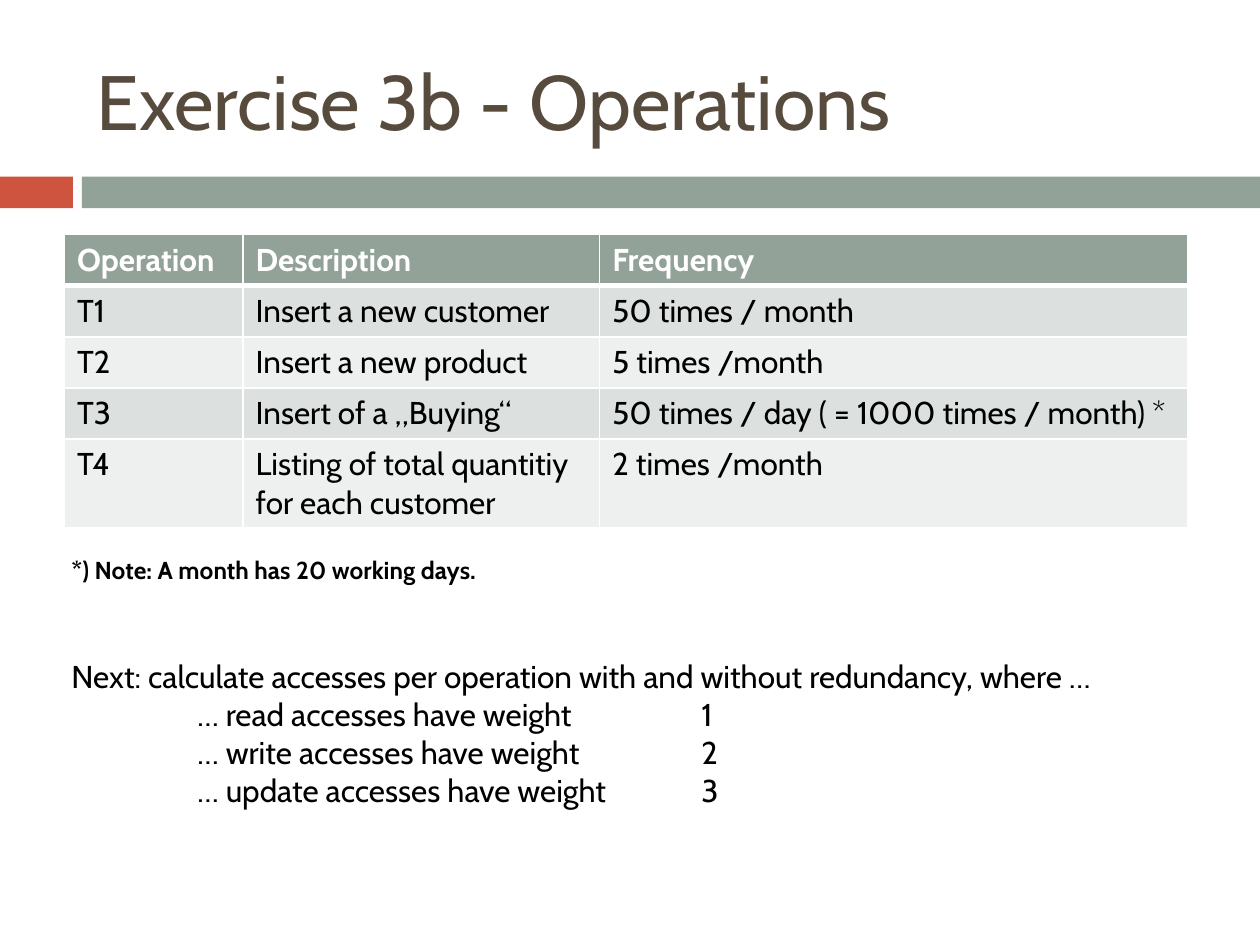
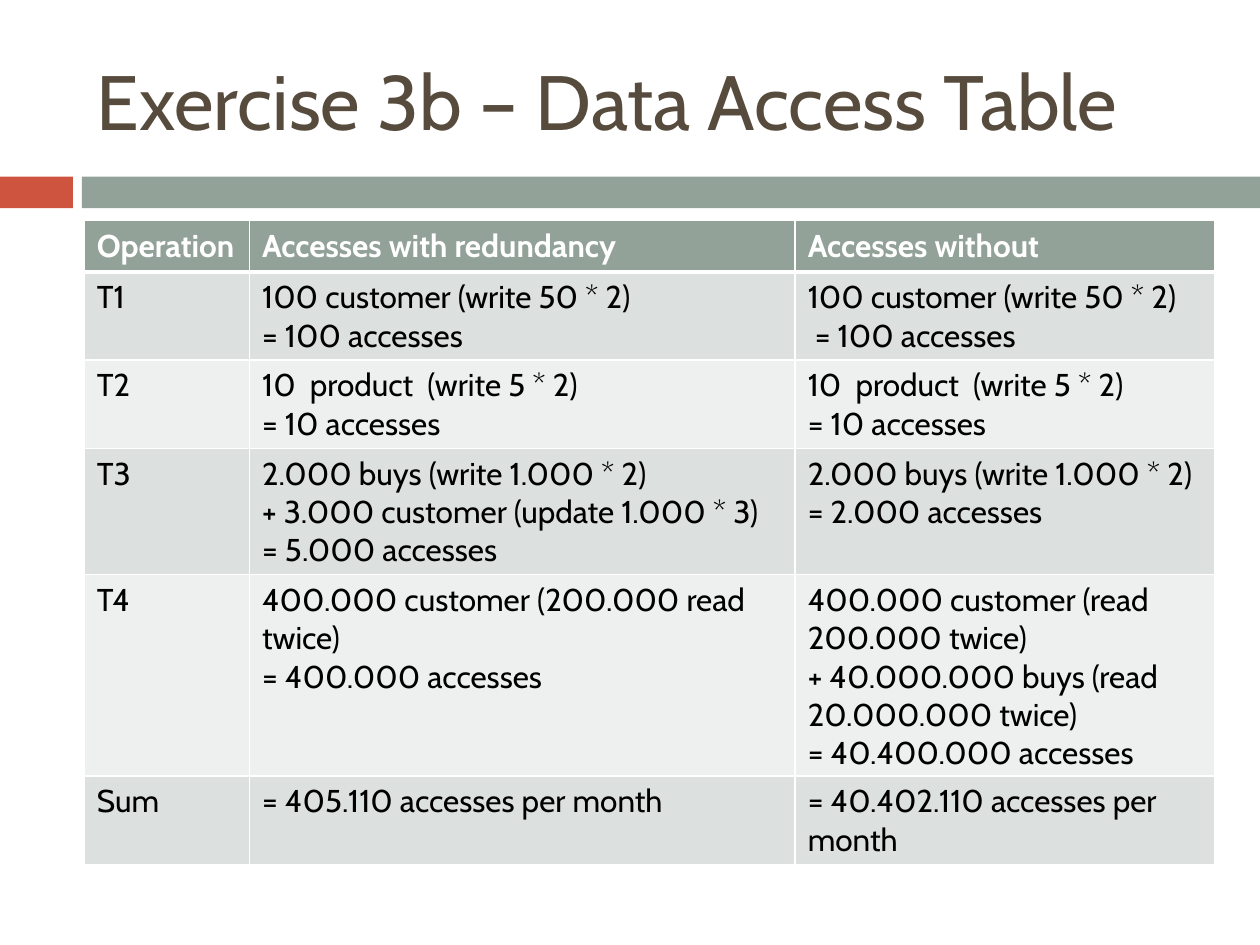
from dataclasses import dataclass

import pptx
import pptx.dml.color
import pptx.enum.shapes
import pptx.enum.text
import pptx.oxml.ns
import pptx.util
from lxml import etree

Cm = pptx.util.Cm
RGB = pptx.dml.color.RGBColor.from_string


@dataclass(frozen=True)
class Theme:
    face: str = "Cabin"
    brown: str = "564B3C"
    red: str = "CF543F"
    sage: str = "93A299"
    bands: tuple[str, str] = ("DCE0DE", "EEF0EF")
    white: str = "FFFFFF"
    black: str = "000000"
    title: int = 44
    body: int = 18
    note: int = 14
    thin: float = 1
    thick: float = 3


@dataclass(frozen=True)
class Box:
    """A place on the slide, in centimetres."""
    left: float
    top: float
    width: float
    height: float

    def args(self) -> tuple:
        return tuple(Cm(n) for n in (self.left, self.top, self.width, self.height))


@dataclass(frozen=True)
class Bar:
    box: Box
    color: str


@dataclass(frozen=True)
class Note:
    box: Box
    text: str
    size: int
    color: str
    bold: bool = False
    middle: bool = False
    tabs: tuple[float, ...] = ()


@dataclass(frozen=True)
class Grid:
    left: float
    top: float
    cols: tuple[float, ...]
    rows: tuple[tuple[str, ...], ...]


@dataclass(frozen=True)
class Page:
    title: str
    grid: Grid
    notes: tuple[Note, ...] = ()


THEME = Theme()
ROW = 1.03
HEAD = Box(1.7, 0.64, 22.66, 2.74)
BARS = (
    Bar(Box(0, 3.56, 1.47, 0.64), THEME.red),
    Bar(Box(1.65, 3.56, 23.75, 0.64), THEME.sage),
)

PAGES = (
    Page(
        "Exercise 3b - Operations",
        Grid(1.3, 4.73, (3.6, 7.19, 11.86), (
            ("Operation", "Description", "Frequency"),
            ("T1", "Insert a new customer", "50 times / month"),
            ("T2", "Insert a new product", "5 times /month"),
            ("T3", "Insert of a „Buying“",
             "50 times / day ( = 1000 times / month) *"),
            ("T4", "Listing of total quantitiy for each customer",
             "2 times /month"),
        )),
        (
            Note(
                Box(1.19, 13.13, 22.61, 3.33),
                "Next: calculate accesses per operation with and without "
                "redundancy, where …\n"
                "\t… read accesses have weight \t1\n"
                "\t… write accesses have weight \t2\n"
                "\t… update accesses have weight \t3",
                THEME.body, THEME.black, tabs=(2.54, 12.7)),
            Note(
                Box(1.19, 11.07, 22.3, 0.86),
                "*) Note: A month has 20 working days.",
                THEME.note, THEME.black, bold=True),
        ),
    ),
    Page(
        "Exercise 3b – Data Access Table",
        Grid(1.7, 4.45, (3.33, 11, 8.45), (
            ("Operation", "Accesses with redundancy", "Accesses without"),
            ("T1", "100 customer (write 50 * 2)\n= 100 accesses",
             "100 customer (write 50 * 2)\n = 100 accesses"),
            ("T2", "10  product  (write 5 * 2)\n= 10 accesses",
             "10  product  (write 5 * 2)\n= 10 accesses"),
            ("T3", "2.000 buys (write 1.000 * 2)\n"
             "+ 3.000 customer (update 1.000 * 3)\n= 5.000 accesses",
             "2.000 buys (write 1.000 * 2)\n= 2.000 accesses"),
            ("T4", "400.000 customer (200.000 read twice)\n= 400.000 accesses",
             "400.000 customer (read 200.000 twice)\n"
             "+ 40.000.000 buys (read 20.000.000 twice)\n"
             "= 40.400.000 accesses"),
            ("Sum", "= 405.110 accesses per month",
             "= 40.402.110 accesses per month"),
        )),
    ),
)


def add(parent, tag: str, **attrs):
    """Append a DrawingML child element."""
    return etree.SubElement(parent, pptx.oxml.ns.qn(tag), attrs)


def write(frame, text: str, size: int, color: str, bold: bool = False) -> None:
    frame.text = text
    form = {"name": THEME.face, "size": pptx.util.Pt(size), "bold": bold}
    for para in frame.paragraphs:
        for run in para.runs:
            for key, value in form.items():
                setattr(run.font, key, value)
            run.font.color.rgb = RGB(color)


def draw_bar(slide, bar: Bar) -> None:
    kind = pptx.enum.shapes.MSO_SHAPE.RECTANGLE
    shape = slide.shapes.add_shape(kind, *bar.box.args())
    shape.shadow.inherit = False
    shape.fill.solid()
    shape.fill.fore_color.rgb = RGB(bar.color)
    shape.line.fill.background()


def draw_note(slide, note: Note) -> None:
    frame = slide.shapes.add_textbox(*note.box.args()).text_frame
    anchor = pptx.enum.text.MSO_ANCHOR
    form = {
        "word_wrap": True,
        "vertical_anchor": anchor.MIDDLE if note.middle else anchor.TOP,
    }
    for key, value in form.items():
        setattr(frame, key, value)
    write(frame, note.text, note.size, note.color, note.bold)
    if note.tabs:
        for para in frame.paragraphs:
            stops = add(para._p.get_or_add_pPr(), "a:tabLst")
            for stop in note.tabs:
                add(stops, "a:tab", pos=str(Cm(stop)), algn="l")


def edge(cell, above: float, below: float) -> None:
    """Give a cell white borders; the widths are in points."""
    props = cell._tc.get_or_add_tcPr()
    sides = {"L": THEME.thin, "R": THEME.thin, "T": above, "B": below}
    for side, width in sides.items():
        line = add(props, f"a:ln{side}", w=str(pptx.util.Pt(width)))
        add(add(line, "a:solidFill"), "a:srgbClr", val=THEME.white)


def draw_grid(slide, grid: Grid) -> None:
    count = len(grid.rows)
    box = Box(grid.left, grid.top, sum(grid.cols), ROW * count)
    table = slide.shapes.add_table(count, len(grid.cols), *box.args()).table
    for col, width in zip(table.columns, grid.cols):
        col.width = Cm(width)
    for r, texts in enumerate(grid.rows):
        head = r == 0
        table.rows[r].height = Cm(ROW)
        fill = THEME.sage if head else THEME.bands[(r - 1) % 2]
        ink = THEME.white if head else THEME.black
        above = THEME.thick if r == 1 else THEME.thin
        below = THEME.thick if head else THEME.thin
        for c, text in enumerate(texts):
            cell = table.cell(r, c)
            edge(cell, above, below)
            cell.fill.solid()
            cell.fill.fore_color.rgb = RGB(fill)
            write(cell.text_frame, text, THEME.body, ink, head)


def draw_page(deck, page: Page) -> None:
    slide = deck.slides.add_slide(deck.slide_layouts[6])
    for bar in BARS:
        draw_bar(slide, bar)
    draw_note(slide, Note(HEAD, page.title, THEME.title, THEME.brown, middle=True))
    draw_grid(slide, page.grid)
    for note in page.notes:
        draw_note(slide, note)


def main() -> None:
    deck = pptx.Presentation()
    deck.slide_width, deck.slide_height = Cm(25.4), Cm(19.05)
    for page in PAGES:
        draw_page(deck, page)
    deck.save("out.pptx")


if __name__ == "__main__":
    main()
